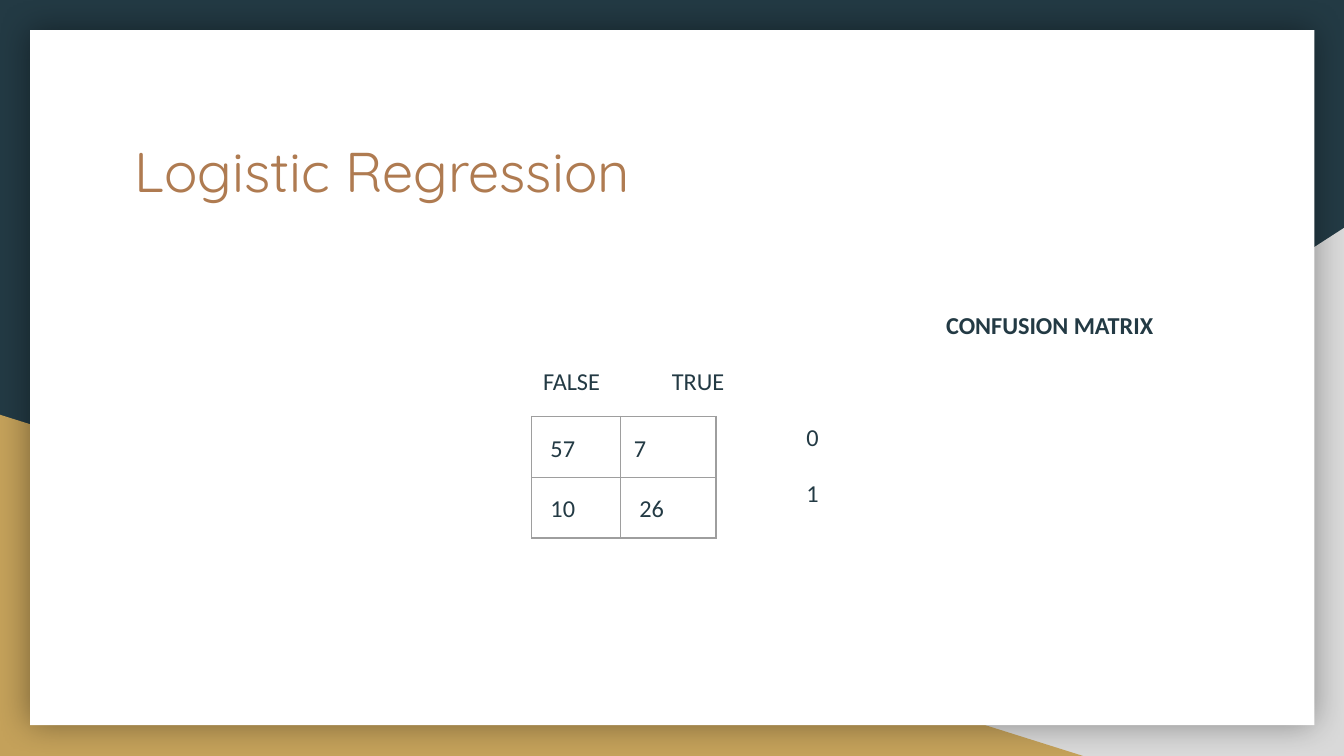
"""Build the logistic regression slide with its confusion matrix."""
from lxml.etree import SubElement
from pptx import Presentation
from pptx.dml.color import RGBColor
from pptx.enum.shapes import MSO_SHAPE as SHAPE
from pptx.oxml.ns import qn
from pptx.util import Cm, Pt

NAVY = RGBColor(0x23, 0x3A, 0x44)
GREY = RGBColor(0xD9, 0xD9, 0xD9)
GOLD = RGBColor(0xC4, 0xA1, 0x5A)
WHITE = RGBColor(0xFF, 0xFF, 0xFF)
COPPER = RGBColor(0xAF, 0x7B, 0x51)
BORDER = "9E9E9E"
INSET = Cm(0.25)


def write(para, text, font="Calibri", size=13, color=NAVY, bold=False):
    span = para.add_run()
    span.text = text
    span.font.name = font
    span.font.size = Pt(size)
    span.font.color.rgb = color
    span.font.bold = bold


def add_frame(left, top, width, height):
    frame = page.shapes.add_textbox(Cm(left), Cm(top), Cm(width), Cm(height)).text_frame
    frame.word_wrap = True
    frame.margin_left = frame.margin_right = INSET
    frame.margin_top = frame.margin_bottom = INSET
    return frame


deck = Presentation()
deck.slide_width = Cm(25.4)
deck.slide_height = Cm(14.29)
page = deck.slides.add_slide(deck.slide_layouts[6])
page.background.fill.solid()
page.background.fill.fore_color.rgb = NAVY

panels = [
    (SHAPE.RIGHT_TRIANGLE, 9.96, 4.31, 15.44, 9.98, GREY),
    (SHAPE.RIGHT_TRIANGLE, 0, 7.84, 20.47, 6.45, GOLD),
    (SHAPE.RECTANGLE, 0.57, 0.57, 24.27, 13.14, WHITE),
]
for kind, left, top, width, height, color in panels:
    panel = page.shapes.add_shape(kind, Cm(left), Cm(top), Cm(width), Cm(height))
    panel.shadow.inherit = False
    panel.fill.solid()
    panel.fill.fore_color.rgb = color
    panel.line.fill.background()
    if color == GREY:
        panel.element.spPr.find(qn("a:xfrm")).set("flipH", "1")
    if color == WHITE:
        effects = panel.element.spPr.find(qn("a:effectLst"))
        shadow = SubElement(effects, qn("a:outerShdw"), blurRad=str(Pt(18)), dist="0", dir="0",
                            algn="ctr", rotWithShape="0")
        tint = SubElement(shadow, qn("a:srgbClr"), val="000000")
        SubElement(tint, qn("a:alpha"), val="40000")

title = add_frame(2.29, 2.34, 20.85, 2.64)
write(title.paragraphs[0], "Logistic Regression", "Quicksand", 30, COPPER)

body = add_frame(2.29, 5.54, 20.85, 6.81)
lines = [
    (" CONFUSION MATRIX", 15.24, True),
    (" FALSE \tTRUE", 7.62, False),
    ("0", 12.7, False),
    ("1", 12.7, False),
]
for index, (text, indent, bold) in enumerate(lines):
    para = body.add_paragraph() if index else body.paragraphs[0]
    para.line_spacing = 1.15
    para.space_before = Pt(12 if index else 0)
    properties = para._p.get_or_add_pPr()
    properties.set("marL", str(Cm(indent)))
    properties.set("indent", "0")
    write(para, text, bold=bold)

counts = [(" 57", "7"), (" 10", " 26")]
matrix = page.shapes.add_table(2, 2, Cm(10.05), Cm(7.87), Cm(3.48), Cm(2.3)).table
matrix.first_row = False
matrix.horz_banding = False
for column, width in zip(matrix.columns, (1.68, 1.8)):
    column.width = Cm(width)
for row, values in zip(matrix.rows, counts):
    row.height = Cm(1.15)
    for cell, value in zip(row.cells, values):
        cell.margin_left = cell.margin_right = INSET
        cell.margin_top = cell.margin_bottom = INSET
        para = cell.text_frame.paragraphs[0]
        para.line_spacing = 1.15
        para.space_after = Pt(12)
        write(para, value)
        properties = cell._tc.get_or_add_tcPr()
        for side in ("lnL", "lnR", "lnT", "lnB"):
            edge = SubElement(properties, qn(f"a:{side}"), w=str(Pt(0.75)))
            SubElement(SubElement(edge, qn("a:solidFill")), qn("a:srgbClr"), val=BORDER)
        cell.fill.background()

deck.save("out.pptx")
